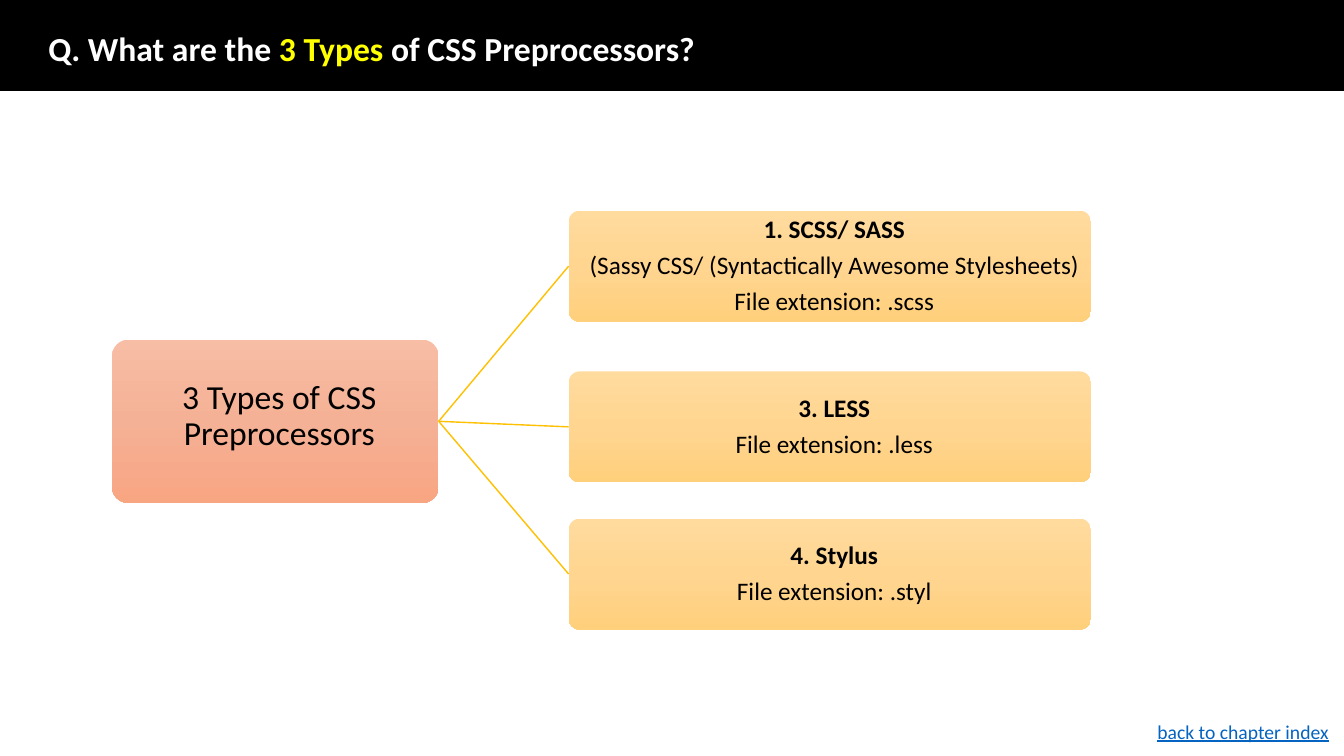
"""Build a slide showing the three types of CSS preprocessors as a small tree."""
from copy import deepcopy

from lxml.etree import SubElement
from pptx import Presentation
from pptx.dml.color import RGBColor
from pptx.enum.shapes import MSO_CONNECTOR, MSO_SHAPE
from pptx.enum.text import MSO_ANCHOR, MSO_AUTO_SIZE, PP_ALIGN
from pptx.oxml.ns import qn
from pptx.util import Inches, Pt

WIDTH, HEIGHT = 13.33, 7.5
COLORS = {
    "banner": "000000", "white": "FFFFFF", "accent": "FFFF00",
    "ink": "000000", "link": "0563C1", "branch": "FFC000",
}
ROOT_GRADIENT = ("F7BDA5", "F5B196", "F8A582")
LEAF_GRADIENT = ("FFDB9E", "FFD590", "FFD07C")

TITLE = [("Q. What are the ", "white"), ("3 Types", "accent"),
         (" of CSS Preprocessors?", "white")]
ROOT = "3 Types of CSS Preprocessors"
LEAVES = [
    ("1. SCSS/ SASS", "(Sassy CSS/ (Syntactically Awesome Stylesheets)",
     "File extension: .scss"),
    ("3. LESS", "File extension: .less"),
    ("4. Stylus", "File extension: .styl"),
]
BACK = "back to chapter index"

BANNER_AREA = (0, 0, 100, 12)
TITLE_AREA = (2.85, 2.53, 86.27, 8.4)
ROOT_AREA = (8.33, 44.93, 24.31, 21.6)
LEAF_LEFT, LEAF_WIDTH, LEAF_HEIGHT = 42.31, 38.86, 14.67
LEAF_TOPS = (27.87, 49.13, 68.6)
BACK_AREA = (85.37, 94.53, 14.63, 4.53)


def place(area):
    """Turn percentages of the slide into lengths."""
    return [Inches(share * side / 100)
            for share, side in zip(area, (WIDTH, HEIGHT, WIDTH, HEIGHT))]


def color(name):
    return RGBColor.from_string(COLORS[name])


def write(para, text, size=18, name="ink", bold=False, underline=False):
    """Add one formatted run to a paragraph."""
    span = para.add_run()
    span.text = text
    font = span.font
    font.name, font.size = "Calibri", Pt(size)
    font.bold, font.underline = bold, underline
    font.color.rgb = color(name)


def add_banner(page):
    banner = page.shapes.add_shape(MSO_SHAPE.RECTANGLE, *place(BANNER_AREA))
    banner.shadow.inherit = False
    banner.fill.solid()
    banner.fill.fore_color.rgb = color("banner")
    banner.line.color.rgb = color("banner")
    banner.line.width = Pt(1)


def add_title(page):
    title = page.shapes.title
    title.left, title.top, title.width, title.height = place(TITLE_AREA)
    frame = title.text_frame
    frame.auto_size = MSO_AUTO_SIZE.NONE
    frame.vertical_anchor = MSO_ANCHOR.MIDDLE
    para = frame.paragraphs[0]
    para.alignment, para.line_spacing = PP_ALIGN.LEFT, 0.9
    for text, name in TITLE:
        write(para, text, size=24, name=name, bold=True)
    page.shapes._spTree.append(title._element)


def add_node(page, area, gradient, lines, size, insets):
    """Add a rounded gradient box; the first of several lines is bold."""
    node = page.shapes.add_shape(MSO_SHAPE.ROUNDED_RECTANGLE, *place(area))
    node.shadow.inherit = False
    node.adjustments[0] = 0.1
    node.line.fill.background()
    node.fill.gradient()
    node.fill.gradient_angle = 270
    first = node._element.spPr.find(qn("a:gradFill")).find(qn("a:gsLst"))[0]
    middle = deepcopy(first)
    middle.set("pos", "50000")
    first.addnext(middle)
    for stop, shade in zip(node.fill.gradient_stops, gradient):
        stop.color.rgb = RGBColor.from_string(shade)

    frame = node.text_frame
    frame.word_wrap = True
    frame.vertical_anchor = MSO_ANCHOR.MIDDLE
    (frame.margin_left, frame.margin_top,
     frame.margin_right, frame.margin_bottom) = map(Inches, insets)
    for index, text in enumerate(lines):
        para = frame.add_paragraph() if index else frame.paragraphs[0]
        para.alignment, para.line_spacing = PP_ALIGN.CENTER, 0.9
        if index:
            para.space_before = Pt(6.3)
        write(para, text, size=size, bold=len(lines) > 1 and index == 0)
    return node


def add_branch(page, root, leaf):
    branch = page.shapes.add_connector(MSO_CONNECTOR.STRAIGHT, 0, 0, 0, 0)
    branch.begin_connect(root, 3)
    branch.end_connect(leaf, 1)
    branch.line.color.rgb = color("branch")
    branch.line.width = Pt(1)
    SubElement(branch._element.spPr, qn("a:effectLst"))


def add_back(page):
    box = page.shapes.add_textbox(*place(BACK_AREA))
    box.text_frame.word_wrap = True
    write(box.text_frame.paragraphs[0], BACK, size=14, name="link",
          underline=True)


def main():
    deck = Presentation()
    deck.slide_width, deck.slide_height = Inches(WIDTH), Inches(HEIGHT)
    page = deck.slides.add_slide(deck.slide_layouts[5])
    add_banner(page)
    add_title(page)
    root = add_node(page, ROOT_AREA, ROOT_GRADIENT, [ROOT], 24,
                    (0.14, 0, 0.06, 0.1))
    for top, lines in zip(LEAF_TOPS, LEAVES):
        area = (LEAF_LEFT, top, LEAF_WIDTH, LEAF_HEIGHT)
        leaf = add_node(page, area, LEAF_GRADIENT, lines, 18,
                        (0.13, 0.04, 0.04, 0.04))
        add_branch(page, root, leaf)
    add_back(page)
    deck.save("out.pptx")


if __name__ == "__main__":
    main()
